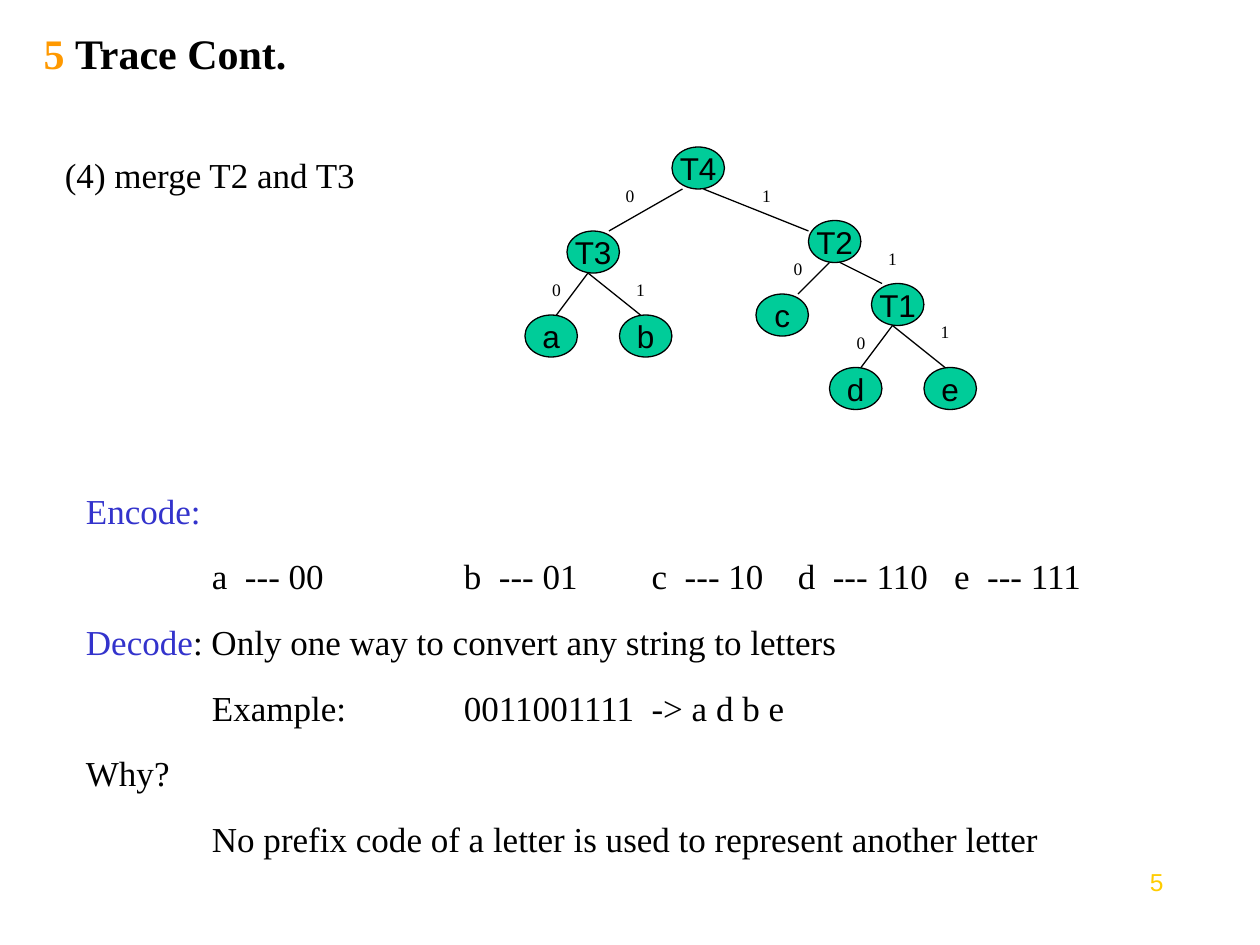
from lxml import etree
from pptx import Presentation
from pptx.dml.color import RGBColor
from pptx.enum.shapes import MSO_CONNECTOR, MSO_SHAPE
from pptx.enum.text import MSO_ANCHOR, PP_ALIGN
from pptx.oxml.ns import qn
from pptx.util import Inches, Pt

OVAL, STRAIGHT = MSO_SHAPE.OVAL, MSO_CONNECTOR.STRAIGHT
LEFT, CENTER, RIGHT = PP_ALIGN.LEFT, PP_ALIGN.CENTER, PP_ALIGN.RIGHT
TOP, MIDDLE = MSO_ANCHOR.TOP, MSO_ANCHOR.MIDDLE

# The slide is a grid of 120 columns by 90 rows, twelve to the inch
COLUMNS, ROWS = 120, 90
BLACK, BLUE, ORANGE, YELLOW, GREEN = "000000", "3333CC", "FF9900", "FFCC00", "00CC99"
SERIF, SANS = "Times New Roman", "Arial"

TITLE = [[("5 ", ORANGE), ("Trace Cont.", BLACK)]]
STEP = [[("(4) merge T2 and T3", BLACK)]]
CODES = [
    [("Encode:", BLUE)],
    [("\ta  --- 00\tb  --- 01\tc  --- 10\td  --- 110\te  --- 111", BLACK)],
    [("Decode", BLUE), (": Only one way to convert any string to letters", BLACK)],
    [("\tExample:\t0011001111  -> a d b e", BLACK)],
    [("Why?", BLACK)],
    [("\tNo prefix code of a letter is used to represent another letter", BLACK)],
]
CODE_TABS = (1, 3, 4.49, 5.65, 6.89)

# Tree parts, in columns and rows from the tree's corner
NODE_SIZE, BIT_SIZE = (5, 4), (4, 3.2)
NODES = {
    "T4": (14, 0), "T3": (4, 8), "T2": (27, 7), "a": (0, 16), "b": (9, 16),
    "c": (22, 14), "T1": (33, 13), "d": (29, 21), "e": (38, 21),
}
# bit, branch start, branch end, corner of the bit
BRANCHES = [
    ("0", (15, 4), (8, 8), (8, 3)), ("1", (17, 4), (27, 8), (21, 3)),
    ("0", (6, 12), (3, 16), (1, 12)), ("1", (6, 12), (11, 16), (9, 12)),
    ("0", (29, 11), (26, 14), (24, 10)), ("1", (30, 11), (34, 13), (33, 9)),
    ("0", (35, 17), (32, 21), (30, 17)), ("1", (35, 17), (40, 21), (38, 16)),
]


def color(value):
    return RGBColor.from_string(value)


def grid(*lengths):
    return [Inches(length / 12) for length in lengths]


def add_tabs(paragraph, stops):
    tab_list = etree.SubElement(paragraph._p.get_or_add_pPr(), qn("a:tabLst"))
    for stop in stops:
        etree.SubElement(tab_list, qn("a:tab"), pos=str(Inches(stop)), algn="l")


def write(frame, lines, size, font=SERIF, align=LEFT, anchor=TOP, wrap=True,
          bold=False, gap=0, tabs=()):
    frame.word_wrap, frame.vertical_anchor = wrap, anchor
    for row, line in enumerate(lines):
        paragraph = frame.add_paragraph() if row else frame.paragraphs[0]
        paragraph.alignment = align
        paragraph.space_before = Pt(gap if row else 0)
        if tabs:
            add_tabs(paragraph, tabs)
        for words, shade in line:
            run = paragraph.add_run()
            run.text = words
            for name, value in {"name": font, "size": Pt(size), "bold": bold}.items():
                setattr(run.font, name, value)
            run.font.color.rgb = color(shade)


def add_words(slide, box, lines, size, indent=0.1, **text_format):
    frame = slide.shapes.add_textbox(*grid(*box)).text_frame
    frame.margin_left = Inches(indent)
    write(frame, lines, size, **text_format)


def add_branch(slide, start, end):
    branch = slide.shapes.add_connector(STRAIGHT, *grid(*start, *end))
    branch.line.color.rgb = color(BLACK)
    branch.line.width = Pt(0.75)
    etree.SubElement(branch._element.spPr, qn("a:effectLst"))


def add_node(slide, box, name):
    node = slide.shapes.add_shape(OVAL, *grid(*box))
    node.shadow.inherit = False
    node.fill.solid()
    node.fill.fore_color.rgb = color(GREEN)
    node.line.color.rgb = color(BLACK)
    node.line.width = Pt(0.75)
    write(node.text_frame, [[(name, BLACK)]], 18, SANS, CENTER, MIDDLE, wrap=False)


def add_tree(slide, left, top):
    def place(point):
        return left + point[0], top + point[1]

    for name, corner in NODES.items():
        add_node(slide, (*place(corner), *NODE_SIZE), name)
    for bit, start, end, corner in BRANCHES:
        add_branch(slide, place(start), place(end))
        add_words(slide, (*place(corner), *BIT_SIZE), [[(bit, BLACK)]], 10, align=CENTER)


def main():
    deck = Presentation()
    deck.slide_width, deck.slide_height = grid(COLUMNS, ROWS)
    slide = deck.slides.add_slide(deck.slide_layouts[6])

    # Heading and step
    add_words(slide, (2, 2, 102, 6), TITLE, 24, indent=0.18, anchor=MIDDLE, bold=True)
    add_words(slide, (5, 14, 37, 5.25), STEP, 20)
    # Code tree
    add_tree(slide, 50, 14)
    # Encoding and decoding
    add_words(slide, (7, 46, 100, 35.6), CODES, 20, gap=13.5, tabs=CODE_TABS)
    # Page number
    add_words(slide, (104, 82, 8, 6.25), [[("5", YELLOW)]], 14, font=SANS, align=RIGHT)

    deck.save("out.pptx")


if __name__ == "__main__":
    main()
